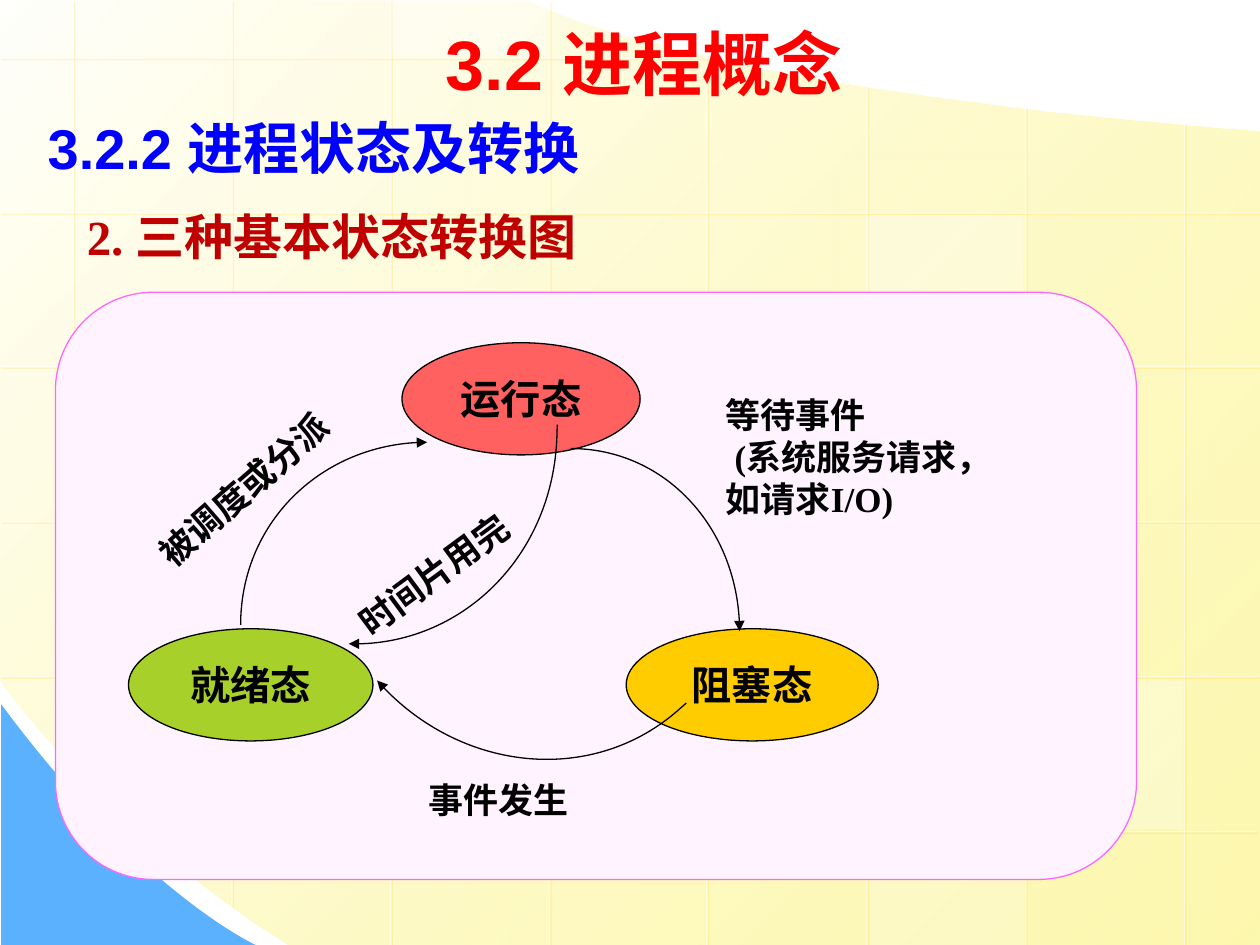
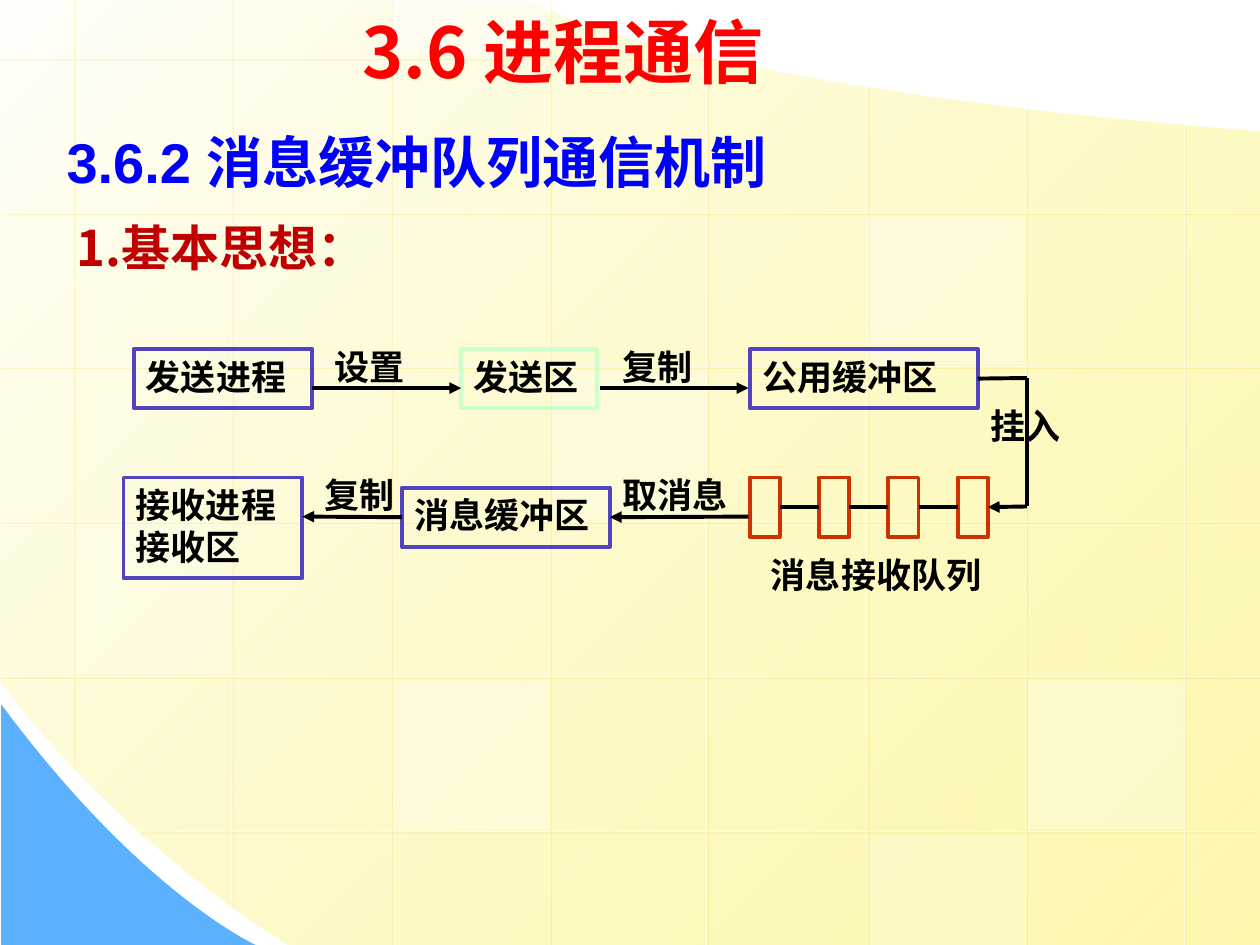
from itertools import pairwise

from lxml.etree import SubElement
from pptx import Presentation
from pptx.dml.color import RGBColor as RGB
from pptx.enum.shapes import MSO_CONNECTOR as LINK, MSO_SHAPE as SHAPE
from pptx.enum.text import MSO_ANCHOR as ANCHOR, PP_ALIGN as ALIGN
from pptx.oxml.ns import qn
from pptx.util import Pt

PX = 9144  # 100 px to the inch
COLORS = {name: RGB.from_string(value) for name, value in {
    "white": "FFFFFF", "cream": "FFFFFB", "yellow": "FDF58D", "sky": "5CB1FE",
    "title": "FF0000", "section": "0000FF", "topic": "C00000", "black": "000000",
    "panel": "FFF3FF", "panel edge": "FF66FF", "running": "FF6161",
    "ready": "A8D02A", "blocked": "FFCC00", "process": "5243BF",
    "send area": "CCFFCC", "queue": "CC3300"}.items()}
TIMES, ARIAL, NOTO = "Times New Roman", "Arial", "Noto Sans CJK SC"


def trace(slide, start, pieces, closed):
    """Draw an outline of straight (x, y) and Bezier (six numbers) pieces."""
    corners = [(piece[i] * PX, piece[i + 1] * PX)
               for piece in pieces for i in range(0, len(piece), 2)]
    builder = slide.shapes.build_freeform(start[0] * PX, start[1] * PX)
    builder.add_line_segments(corners, close=closed)
    outline = builder.convert_to_shape()
    outline.shadow.inherit = False
    steps = iter(list(outline._element.iter(qn("a:lnTo"))))
    for piece in pieces:
        first = next(steps)
        if len(piece) == 6:
            first.tag = qn("a:cubicBezTo")
            for _ in range(2):
                step = next(steps)
                first.append(step[0])
                step.getparent().remove(step)
    return outline


def write(shape, lines, size=20, font=TIMES, color="black", align=ALIGN.LEFT, **frame_format):
    """Fill a shape; a line is a string or a list of (text, font) pairs."""
    frame = shape.text_frame
    for key, value in ({"word_wrap": True} | frame_format).items():
        setattr(frame, key, value)
    for number, line in enumerate(lines):
        paragraph = frame.paragraphs[0] if number == 0 else frame.add_paragraph()
        paragraph.alignment = align
        for words, face in [(line, font)] if isinstance(line, str) else line:
            run = paragraph.add_run()
            run.text = words
            for key, value in {"size": Pt(size), "name": face, "bold": True}.items():
                setattr(run.font, key, value)
            run.font.color.rgb = COLORS[color]
            SubElement(run.font._element, qn("a:ea"), typeface=NOTO)


deck = Presentation()
deck.slide_width, deck.slide_height = 1000 * PX, 750 * PX

# Shared backdrop
grid = [(x, top, x, bottom) for x, top, bottom in (
    (58, 0, 609), (184, 0, 719), (310, 0, 750), (436, 0, 750),
    (561, 43, 750), (688, 68, 750), (814, 85, 750), (940, 98, 750))]
grid += [(right, y, left, y) for y, left, right in (
    (46, 0, 568), (169, 0, 1000), (291, 0, 1000), (414, 0, 1000),
    (537, 0, 1000), (660, 111, 997))]
tiles = [(816, 540, 118, 30), (690, 663, 87, 20), (311, 0, 44, 40), (689, 171, 118, 30)]
extra_tiles = [(438, 294, 118, 25), (60, 416, 118, 20), (312, 540, 118, 30)]

slides = []
for slide_tiles in (tiles, tiles + extra_tiles):
    slide = deck.slides.add_slide(deck.slide_layouts[6])
    slides.append(slide)

    field = trace(slide, (1000, 104), [
        (1000, 427, 1000, 750, 1000, 750), (1000, 750, 615, 750, 230, 750),
        (86, 661, -1, 539, 0, 539), (-1, -1), (421, 1),
        (421, 1, 537, 69, 1000, 104)], True)
    field.fill.gradient()
    field.fill.gradient_angle = 315
    for stop, name in zip(field.fill.gradient_stops, ("cream", "yellow")):
        stop.color.rgb = COLORS[name]
    last_color = list(field._element.spPr.iter(qn("a:srgbClr")))[-1]
    SubElement(last_color, qn("a:alpha"), val="70000")
    corner = trace(slide, (1, 559), [
        (1, 655, 1, 750, 1, 750), (203, 750), (203, 750, 112, 709, 1, 559)], True)
    corner.fill.solid()
    corner.fill.fore_color.rgb = COLORS["sky"]
    for area in (field, corner):
        area.line.fill.background()

    for ends in grid:
        rule = slide.shapes.add_connector(LINK.STRAIGHT, *(n * PX for n in ends))
        rule.line.width = Pt(0.75)
        rule.line.color.rgb = COLORS["white"]
        props = rule._element.spPr
        SubElement(next(props.iter(qn("a:srgbClr"))), qn("a:alpha"), val="50000")
        glow = SubElement(SubElement(props, qn("a:effectLst")), qn("a:outerShdw"),
                          dist="17780", dir="2700000", algn="ctr", rotWithShape="0")
        tint = SubElement(glow, qn("a:srgbClr"), val=str(COLORS["blocked"]))
        SubElement(tint, qn("a:alpha"), val="34000")

    for x, y, height, opacity in slide_tiles:
        tile = slide.shapes.add_shape(SHAPE.RECTANGLE, x * PX, y * PX, 123 * PX, height * PX)
        tile.shadow.inherit = False
        tile.line.fill.background()
        tile.fill.solid()
        tile.fill.fore_color.rgb = COLORS["white"]
        tone = next(tile._element.spPr.iter(qn("a:srgbClr")))
        SubElement(tone, qn("a:alpha"), val=str(opacity * 1000))

states_slide, message_slide = slides

# State diagram: panel and states
tight = {"margin_left": 7 * PX, "margin_right": 7 * PX, "margin_top": 3 * PX,
         "margin_bottom": 3 * PX, "vertical_anchor": ANCHOR.MIDDLE, "word_wrap": False}
for kind, place, fill, edge, state in (
        (SHAPE.ROUNDED_RECTANGLE, (44, 232, 858, 466), "panel", "panel edge", ""),
        (SHAPE.OVAL, (319, 272, 189, 89), "running", "black", "运行态"),
        (SHAPE.OVAL, (102, 499, 194, 89), "ready", "black", "就绪态"),
        (SHAPE.OVAL, (497, 499, 200, 89), "blocked", "black", "阻塞态")):
    node = states_slide.shapes.add_shape(kind, *(n * PX for n in place))
    node.shadow.inherit = False
    node.fill.solid()
    node.fill.fore_color.rgb = COLORS[fill]
    node.line.color.rgb = COLORS[edge]
    node.line.width = Pt(0.75)
    if state:
        write(node, [state], 23, align=ALIGN.CENTER, **tight)

# State diagram: transitions, the last two turned as a whole
for start, bends, angle, arrow_end in (
        ((453, 356), [(527, 356, 587, 421, 587, 501)], 0, "tailEnd"),
        ((339, 351), [(257, 351, 191, 416, 191, 496)], 0, "headEnd"),
        ((270, 344), [(273, 344, 276, 344, 279, 344), (373, 344, 449, 416, 449, 504)],
         91.8, "tailEnd"),
        ((336, 461), [(339, 461, 341, 461, 344, 461), (434, 461, 508, 540, 508, 637)],
         138.5, "tailEnd")):
    transition = trace(states_slide, start, bends, False)
    transition.rotation = angle
    transition.fill.background()
    transition.line.color.rgb = COLORS["black"]
    transition.line.width = Pt(0.75)
    SubElement(transition.line._get_or_add_ln(), qn("a:" + arrow_end), type="triangle")

for place, angle, indent, lines in (
        ((83, 351, 239, 58), 319, 17, ["被调度或分派"]),
        ((250, 423, 184, 68), 323.5, 18, ["时间片用完"]),
        ((327, 604, 197, 61), 0, 6, ["事件发生"]),
        ((569, 311, 207, 103), 0, 0, ["等待事件", "(系统服务请求，", "如请求I/O)"])):
    cause = states_slide.shapes.add_textbox(*(n * PX for n in place))
    cause.rotation = angle
    write(cause, lines, **tight | {"margin_left": (7 + indent) * PX})
system_request = cause.text_frame.paragraphs[1]._p.get_or_add_pPr()
system_request.set("marL", str(7 * PX))
system_request.set("indent", "0")

# Message passing: boxes and queue cells
boxes = {}
stations = [("sender", (106, 277, 142, 47), "process", ["发送进程"]),
            ("send area", (366, 277, 108, 47), "send area", ["发送区"]),
            ("public", (595, 277, 181, 47), "process", ["公用缓冲区"]),
            ("message", (319, 387, 165, 47), "process", ["消息缓冲区"]),
            ("receiver", (98, 379, 142, 80), "process", ["接收进程", "接收区"])]
stations += [(i, (595 + 55 * i, 379, 24, 47), "queue", []) for i in range(4)]
for key, place, edge, lines in stations:
    box = boxes[key] = message_slide.shapes.add_shape(SHAPE.RECTANGLE, *(n * PX for n in place))
    box.shadow.inherit = False
    box.fill.background()
    box.line.color.rgb = COLORS[edge]
    box.line.width = Pt(2.25)
    if lines:
        write(box, lines, vertical_anchor=ANCHOR.TOP)

# Message passing: links as ends, joined (box, side) at start and end, arrow
links = [((248, 308, 366, 308), None, None, True),
         ((476, 308, 594, 308), None, None, True),
         ((776, 300, 815, 300), ("public", 3), None, False),
         ((815, 300, 815, 402), None, None, False),
         ((815, 402, 784, 402), None, (3, 3), True),
         ((594, 410, 484, 410), None, ("message", 3), True),
         ((319, 410, 240, 410), ("message", 1), None, True)]
links += [((619 + 55 * a, 402, 595 + 55 * b, 402), (a, 3), (b, 1), False)
          for a, b in pairwise(range(4))]
for ends, start, end, arrow in links:
    link = message_slide.shapes.add_connector(LINK.STRAIGHT, *(n * PX for n in ends))
    link.line.color.rgb = COLORS["black"]
    link.line.width = Pt(2.25)
    SubElement(link._element.spPr, qn("a:effectLst"))
    if start:
        link.begin_connect(boxes[start[0]], start[1])
    if end:
        link.end_connect(boxes[end[0]], end[1])
    if arrow:
        SubElement(link.line._get_or_add_ln(), qn("a:tailEnd"), type="triangle")

# Message passing: captions
for x, y, width, caption in (
        (256, 269, 94, "设置"), (484, 269, 94, "复制"), (776, 316, 94, "挂入"),
        (484, 371, 118, "取消息"), (248, 371, 94, "复制"), (602, 434, 252, "消息接收队列")):
    step = message_slide.shapes.add_textbox(x * PX, y * PX, width * PX, 43 * PX)
    write(step, [caption])

# Headings of both slides
states_section = [("3.2.2 ", ARIAL), ("进程状态及转换", NOTO)]
for slide, place, heading, size, font, color, anchor in (
        (states_slide, (344, 1, 384, 98), "3.2 进程概念", 40, ARIAL, "title", ANCHOR.MIDDLE),
        (states_slide, (28, 70, 583, 94), states_section, 32, ARIAL, "section", ANCHOR.MIDDLE),
        (states_slide, (59, 159, 472, 57), "2. 三种基本状态转换图", 28, TIMES, "topic", ANCHOR.TOP),
        (message_slide, (278, -3, 411, 86), "3.6 进程通信", 40, NOTO, "title", ANCHOR.MIDDLE),
        (message_slide, (43, 84, 764, 87), "3.6.2 消息缓冲队列通信机制", 32, ARIAL, "section", ANCHOR.MIDDLE),
        (message_slide, (51, 173, 480, 53), "1.基本思想：", 28, NOTO, "topic", ANCHOR.TOP)):
    heading_box = slide.shapes.add_textbox(*(n * PX for n in place))
    write(heading_box, [heading], size, font, color, vertical_anchor=anchor)
heading_box.text_frame.paragraphs[0].line_spacing = 0.9

deck.save("out.pptx")
